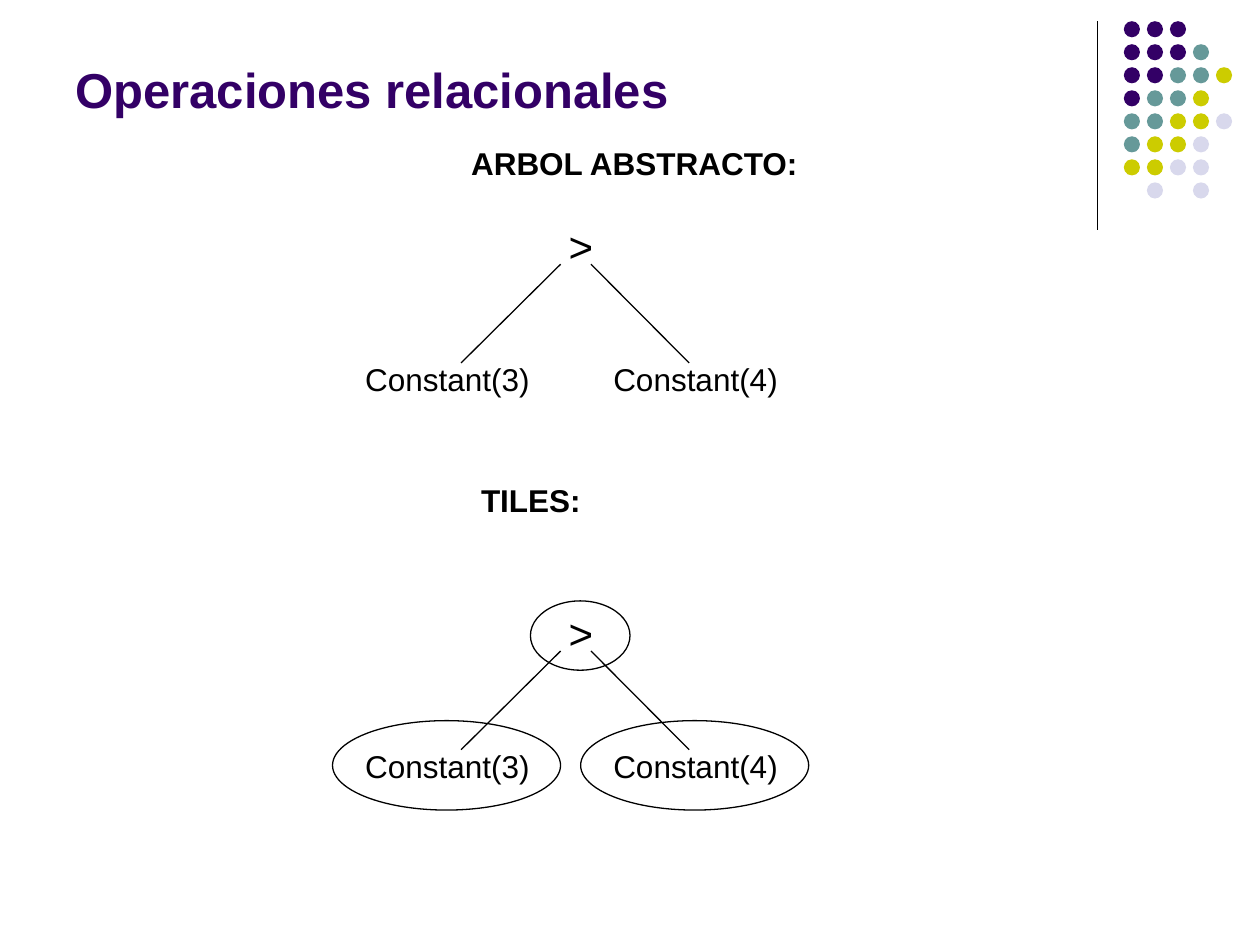
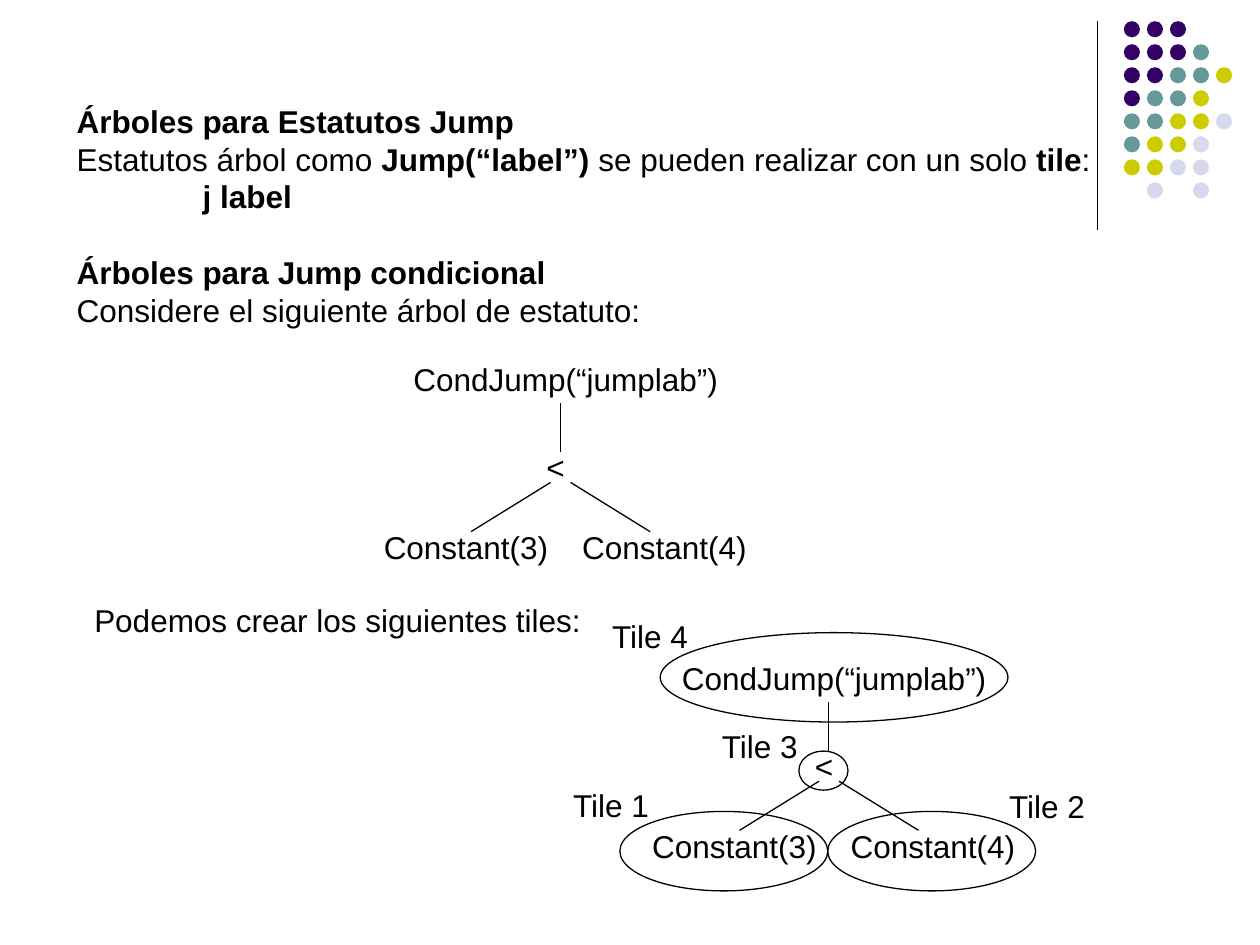
from pptx import Presentation
from pptx.dml.color import RGBColor
from pptx.enum.shapes import MSO_CONNECTOR, MSO_SHAPE
from pptx.enum.text import MSO_ANCHOR, MSO_AUTO_SIZE, PP_ALIGN
from pptx.oxml.ns import qn
from pptx.util import Pt
from lxml import etree

STRAIGHT = MSO_CONNECTOR.STRAIGHT
OVAL = MSO_SHAPE.OVAL
TOP, BOTTOM = MSO_ANCHOR.TOP, MSO_ANCHOR.BOTTOM
FIT = MSO_AUTO_SIZE.SHAPE_TO_FIT_TEXT
LEFT, CENTER = PP_ALIGN.LEFT, PP_ALIGN.CENTER

COLORS = {"ink": "000000", "purple": "330066", "teal": "669999",
          "lime": "CCCC00", "lilac": "D8D8EC", "paper": "FFFFFF"}
BODY = {"name": "Arial", "size": Pt(18), "bold": False}
STRONG = BODY | {"bold": True}
OPERATOR = BODY | {"size": Pt(24)}
TITLE = BODY | {"size": Pt(28), "bold": True}

# Corner dots: one letter per dot, "." for a gap
DOT_COLORS = {"p": "purple", "t": "teal", "y": "lime", "l": "lilac"}
DOT_ROWS = ["ppp..", "pppt.", "pptty", "ptty.", "ttyyl", "tyyl.", "yyll.", ".l.l."]
DOT_PITCH, DOT_SIZE = 13.16, 9.2

# Relational tree: node = text, left, top, width, height, format, alignment
RELATION_NODES = [
    (">", 102.3, 0, 79.2, 36, OPERATOR, CENTER),
    ("Constant(3)", 11.6, 79.9, 124.6, 28.8, BODY, LEFT),
    ("Constant(4)", 153.4, 79.9, 124.6, 28.8, BODY, LEFT),
]
RELATION_EDGES = [(130.4, 28.6, 73.5, 85), (147.7, 28.6, 203.8, 85)]
RELATION_TILES = [(113.1, 0, 56.9, 39.6), (0, 68.4, 130.3, 51.1),
                  (141.8, 68.4, 130.3, 51.1)]

# Conditional jump tree
JUMP_NODES = [
    (text, left, top, 198.7, 28.8, BODY, CENTER)
    for text, left, top in [("CondJump(“jumplab”)", 56.9, 0), ("<", 51.1, 50.4),
                            ("Constant(3)", 0, 95.8), ("Constant(4)", 113.4, 96)]
]
JUMP_EDGES = [(153.1, 28.1, 153.1, 56.2), (147.6, 73.4, 102.2, 101.5),
              (159.1, 73.4, 204.5, 101.5)]
JUMP_TILES = [(56.9, -11.5, 198.7, 51.1), (33.8, 90.7, 118.8, 45.4),
              (152.6, 90.7, 118.8, 45.4), (136.1, 56.2, 28.1, 22.3)]
JUMP_LABELS = [
    (text, left, top, 73.4, 28.8, BODY, LEFT)
    for text, left, top in [("Tile 4", 22.3, -23.8), ("Tile 3", 85, 38.9),
                            ("Tile 1", 0, 72.7), ("Tile 2", 249.1, 73.4)]
]

# Explanation: runs, left indent, space before
EXPLANATION = [
    ([("Árboles para Estatutos Jump", STRONG)], 0, 0),
    ([("Estatutos árbol como ", BODY), ("Jump(“label”) ", STRONG),
      ("se pueden realizar con un solo ", BODY), ("tile", STRONG), (":", BODY)], 0, 0),
    ([("j label", STRONG)], 72, 0),
    ([("Árboles para Jump condicional", STRONG)], 0, 21.6),
    ([("Considere el siguiente árbol de estatuto:", BODY)], 0, 0),
]


def rgb(color):
    return RGBColor.from_string(COLORS[color])


def add_run(paragraph, text, font_values, color="ink"):
    run = paragraph.add_run()
    run.text = text
    for name, value in font_values.items():
        setattr(run.font, name, value)
    run.font.color.rgb = rgb(color)


def add_frame(slide, box, wrap=True, anchor=TOP):
    frame = slide.shapes.add_textbox(*map(Pt, box)).text_frame
    values = {"word_wrap": wrap, "vertical_anchor": anchor}
    if not wrap:
        values["auto_size"] = FIT
    for name, value in values.items():
        setattr(frame, name, value)
    return frame


def add_label(slide, box, text, font_values, align=LEFT, wrap=True):
    paragraph = add_frame(slide, box, wrap).paragraphs[0]
    paragraph.alignment = align
    add_run(paragraph, text, font_values)


def add_line(slide, *ends):
    line = slide.shapes.add_connector(STRAIGHT, *map(Pt, ends))
    line.line.color.rgb = rgb("ink")
    line.line.width = Pt(0.75)
    etree.SubElement(line._element.spPr, qn("a:effectLst"))


def add_oval(shapes, box, fill=None):
    oval = shapes.add_shape(OVAL, *map(Pt, box))
    oval.shadow.inherit = False
    if fill:
        oval.fill.solid()
        oval.fill.fore_color.rgb = rgb(fill)
        oval.line.fill.background()
    else:
        oval.fill.background()
        oval.line.color.rgb = rgb("ink")
        oval.line.width = Pt(0.75)


def add_corner(slide, left, top):
    """Vertical rule with the grid of dots to its right."""
    add_line(slide, left, top, left, top + 119.5)
    dots = slide.shapes.add_group_shape().shapes
    for row, letters in enumerate(DOT_ROWS):
        for column, letter in enumerate(letters):
            if letter in DOT_COLORS:
                box = (left + 15.1 + column * DOT_PITCH, top + row * DOT_PITCH,
                       DOT_SIZE, DOT_SIZE)
                add_oval(dots, box, DOT_COLORS[letter])


def add_tree(slide, left, top, nodes, edges, tiles=()):
    for text, x, y, width, height, font_values, align in nodes:
        add_label(slide, (left + x, top + y, width, height), text, font_values, align)
    for x1, y1, x2, y2 in edges:
        add_line(slide, left + x1, top + y1, left + x2, top + y2)
    for x, y, width, height in tiles:
        add_oval(slide.shapes, (left + x, top + y, width, height))


def add_title(slide, box, text):
    frame = add_frame(slide, box, anchor=BOTTOM)
    add_run(frame.paragraphs[0], text, TITLE, "purple")


def add_explanation(slide, box):
    frame = add_frame(slide, box, wrap=False)
    for index, (runs, indent, gap) in enumerate(EXPLANATION):
        paragraph = frame.add_paragraph() if index else frame.paragraphs[0]
        paragraph.space_before = Pt(gap)
        if indent:
            paragraph._p.get_or_add_pPr().set("marL", str(Pt(indent)))
        for text, font_values in runs:
            add_run(paragraph, text, font_values)


def new_slide(deck):
    slide = deck.slides.add_slide(deck.slide_layouts[6])
    slide.background.fill.solid()
    slide.background.fill.fore_color.rgb = rgb("paper")
    add_corner(slide, 627.1, 12.1)
    return slide


def build_relations(deck):
    slide = new_slide(deck)
    add_title(slide, (36, 9.4, 594, 61.9), "Operaciones relacionales")
    # Abstract tree, then the same tree covered with tiles
    add_label(slide, (262.1, 78.5, 202.3, 28.8), "ARBOL ABSTRACTO:", STRONG, wrap=False)
    add_tree(slide, 190, 122.4, RELATION_NODES, RELATION_EDGES)
    add_label(slide, (267.8, 271.4, 71.3, 28.8), "TILES:", STRONG, wrap=False)
    add_tree(slide, 190, 343.4, RELATION_NODES, RELATION_EDGES, RELATION_TILES)


def build_jumps(deck):
    slide = new_slide(deck)
    add_explanation(slide, (36.7, 54.7, 598.3, 136.8))
    # Statement tree, then the same tree with numbered tiles
    add_tree(slide, 167, 202.3, JUMP_NODES, JUMP_EDGES)
    add_label(slide, (46.8, 339.8, 292.3, 28.8),
              "Podemos crear los siguientes tiles:", BODY, wrap=False)
    add_tree(slide, 320.4, 373, JUMP_NODES + JUMP_LABELS, JUMP_EDGES, JUMP_TILES)


def main():
    deck = Presentation()
    deck.slide_width, deck.slide_height = Pt(720), Pt(540)
    build_relations(deck)
    build_jumps(deck)
    deck.save("out.pptx")


if __name__ == "__main__":
    main()
